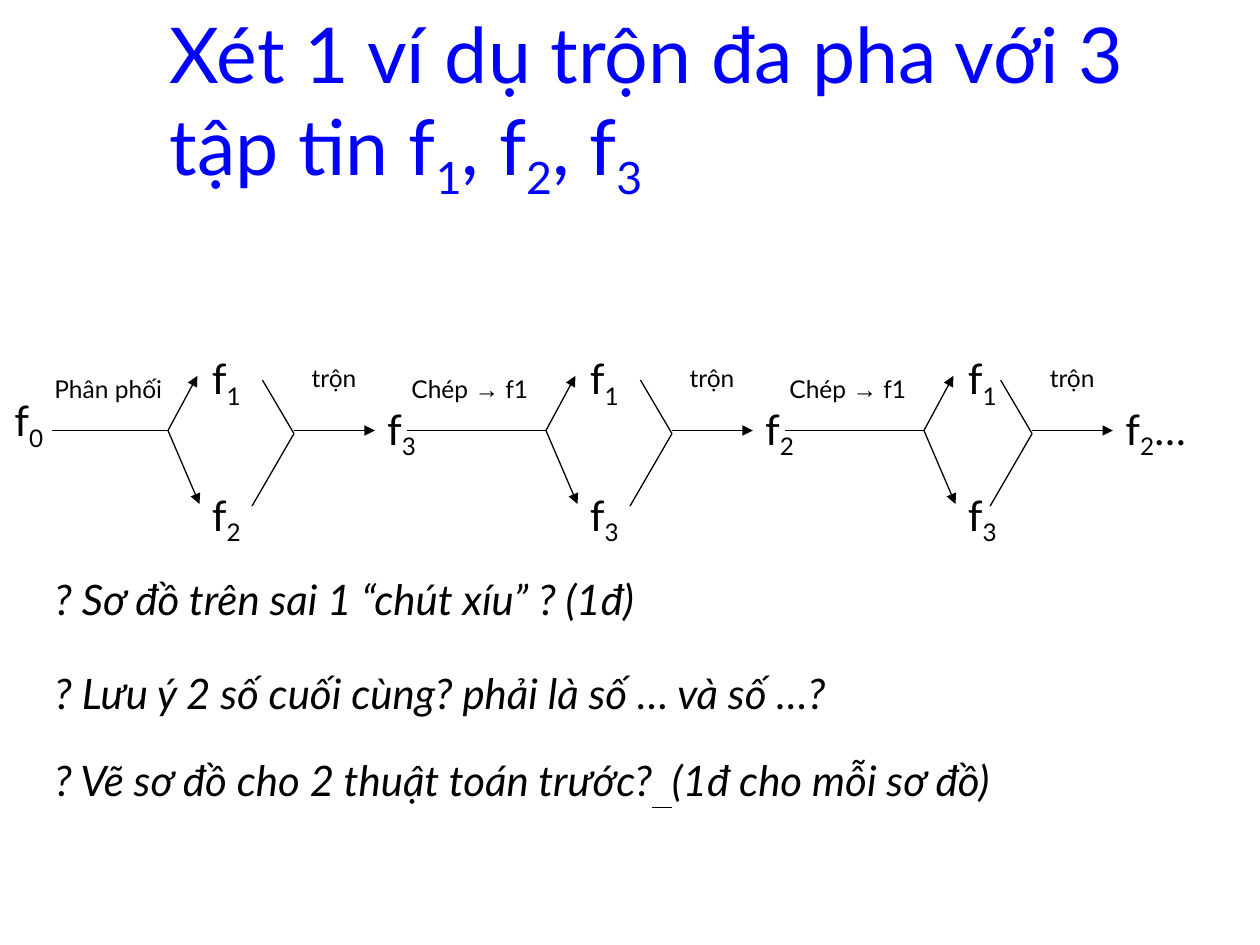
import pptx
import pptx.util
import pptx.dml.color
import pptx.enum.shapes
import pptx.enum.text
import pptx.oxml

THEME = {
    "font": "Lato", "symbol_font": "Arial",
    "title_color": "0000FF", "ink": "000000",
    "title": 44, "body": 24, "label": 14, "line": 0.75,
}

# Content: each text is a list of (words, style) spans
TITLE = [("Xét 1 ví dụ trộn đa pha với 3 tập tin f", ""), ("1", "sub"),
         (", f", ""), ("2", "sub"), (", f", ""), ("3", "sub")]
COPY = [("Chép ", ""), ("→", "symbol"), (" f1", "")]
MERGE = [("trộn", "")]
SOURCE = "0"
# Step label, its width, line start, lower file, merge tip, merged file, text after it
STAGES = [
    ([("Phân phối", "")], 13, 5, "2", 28, "3", ""),
    (COPY, 15, 38.8, "3", 64, "2", ""),
    (COPY, 15, 74.8, "3", 98.3, "2", "…"),
]
# Row, width, spans
QUESTIONS = [
    (54, 71, [("? Sơ đồ trên sai 1 “chút xíu” ? (1đ)", "")]),
    (63, 97, [("? Lưu ý 2 số cuối cùng? phải là số … và số …?", "")]),
    (71.3, 109, [("? Vẽ sơ đồ cho 2 thuật toán trước?", ""), ("  ", "underline"),
                 ("(1đ cho mỗi sơ đồ)", "")]),
]

# Grid: 120 columns by 90 rows, twelve to the inch
COLUMNS, ROWS = 120, 90
STAGE_STEP, FIRST_SPLIT = 36, 16
AXIS = 41        # row of the horizontal lines
FILE_SIZE = (6, 6.7)


def grid(count):
    return pptx.util.Inches(count / 12)


def add_text(shapes, left, top, width, height, spans, size, color="ink", italic=False):
    box = shapes.add_textbox(grid(left), grid(top), grid(width), grid(height))
    frame = box.text_frame
    frame.word_wrap = True
    for words, style in spans:
        span = frame.paragraphs[0].add_run()
        span.text = words
        font = span.font
        font.name = THEME["symbol_font" if style == "symbol" else "font"]
        font.size = pptx.util.Pt(THEME[size])
        font.color.rgb = pptx.dml.color.RGBColor.from_string(THEME[color])
        font.italic = italic
        if style == "underline":
            font.underline = True
        if style == "sub":
            span._r.get_or_add_rPr().set("baseline", "-25000")
    return box


def add_file(shapes, left, top, number, after="", width=FILE_SIZE[0]):
    spans = [("f", ""), (number, "sub")] + ([(after, "")] if after else [])
    add_text(shapes, left, top, width, FILE_SIZE[1], spans, "body")


def add_line(shapes, start, end, arrow=False):
    line = shapes.add_connector(pptx.enum.shapes.MSO_CONNECTOR.STRAIGHT,
                                *map(grid, start + end))
    line.line.width = pptx.util.Pt(THEME["line"])
    line.line.color.rgb = pptx.dml.color.RGBColor.from_string(THEME["ink"])
    properties = line._element.spPr
    namespace = pptx.oxml.ns.nsdecls("a")
    if arrow:
        line.line._get_or_add_ln().append(
            pptx.oxml.parse_xml(f'<a:tailEnd {namespace} type="triangle"/>'))
    properties.append(pptx.oxml.parse_xml(f"<a:effectLst {namespace}/>"))


def add_split(shapes, split, label, label_width, start, lower):
    add_line(shapes, (start, AXIS), (split, AXIS))
    add_line(shapes, (split, AXIS), (split + 2.8, 35.8), arrow=True)
    add_line(shapes, (split, AXIS), (split + 3, 48), arrow=True)
    add_file(shapes, split + 3, 33, "1")
    add_file(shapes, split + 3, 46, lower)
    add_text(shapes, split + 1 - label_width if label is COPY else 4, 35,
             label_width, 4, label, "label")


def add_merge(shapes, tip, merged, after):
    add_line(shapes, (tip - 3, 36.2), (tip, 41.3))
    add_line(shapes, (tip - 4, 48.2), (tip, 41.3))
    add_line(shapes, (tip, AXIS), (tip + 7.7, AXIS), arrow=True)
    add_text(shapes, tip + 0.5, 34, 13, 4, MERGE, "label")
    add_file(shapes, tip + 7.7, 37.8, merged, after, 14 if after else FILE_SIZE[0])


def main():
    deck = pptx.Presentation()
    deck.slide_width, deck.slide_height = grid(COLUMNS), grid(ROWS)
    page = deck.slides.add_slide(deck.slide_layouts[6])

    # Title
    title = add_text(page.shapes, 15, 5, 101, 15, TITLE, "title", "title_color")
    title.text_frame.vertical_anchor = pptx.enum.text.MSO_ANCHOR.BOTTOM

    # Diagram: every stage splits into two files, then merges them
    add_file(page.shapes, 0.2, 37, SOURCE)
    for index, (label, label_width, start, lower, tip, merged, after) in enumerate(STAGES):
        split = FIRST_SPLIT + index * STAGE_STEP
        add_split(page.shapes.add_group_shape().shapes, split, label, label_width, start, lower)
        add_merge(page.shapes.add_group_shape().shapes, tip, merged, after)

    # Questions
    for row, width, spans in QUESTIONS:
        add_text(page.shapes, 4, row, width, 6, spans, "body", italic=True)

    deck.save("out.pptx")


if __name__ == "__main__":
    main()
